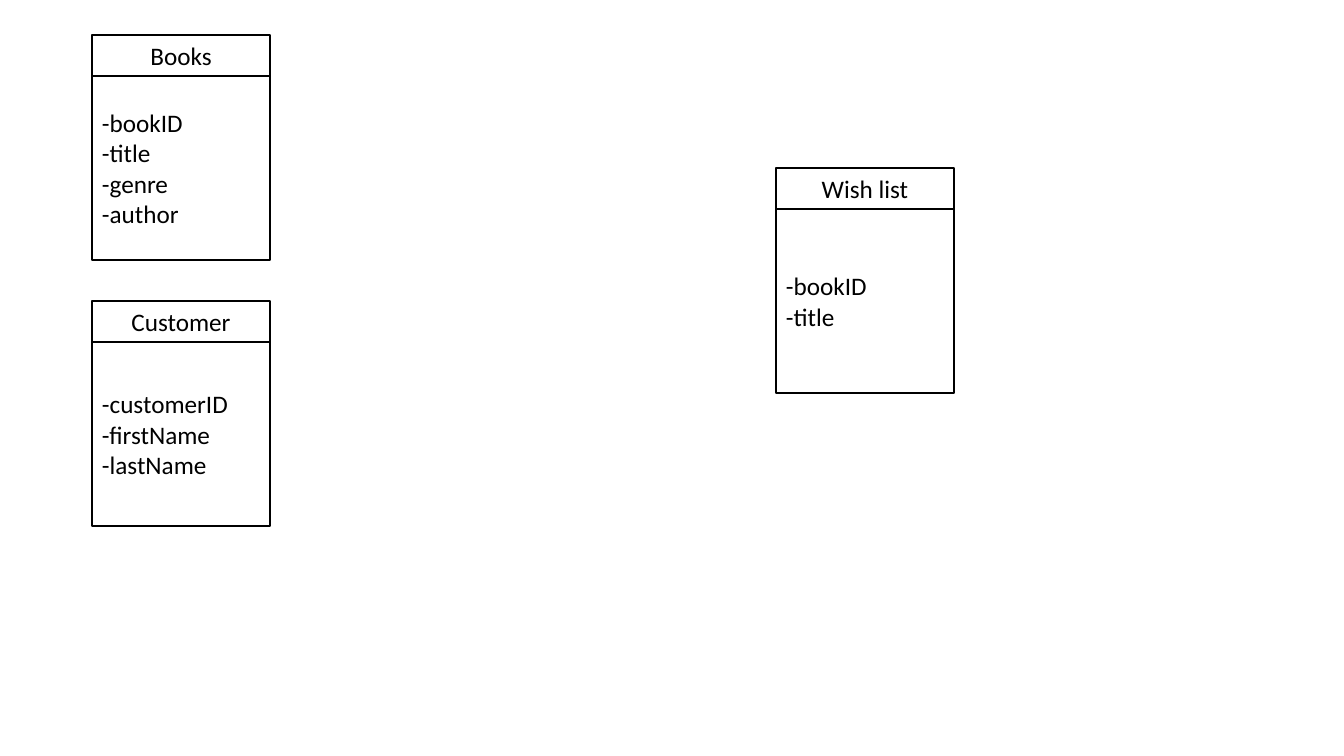
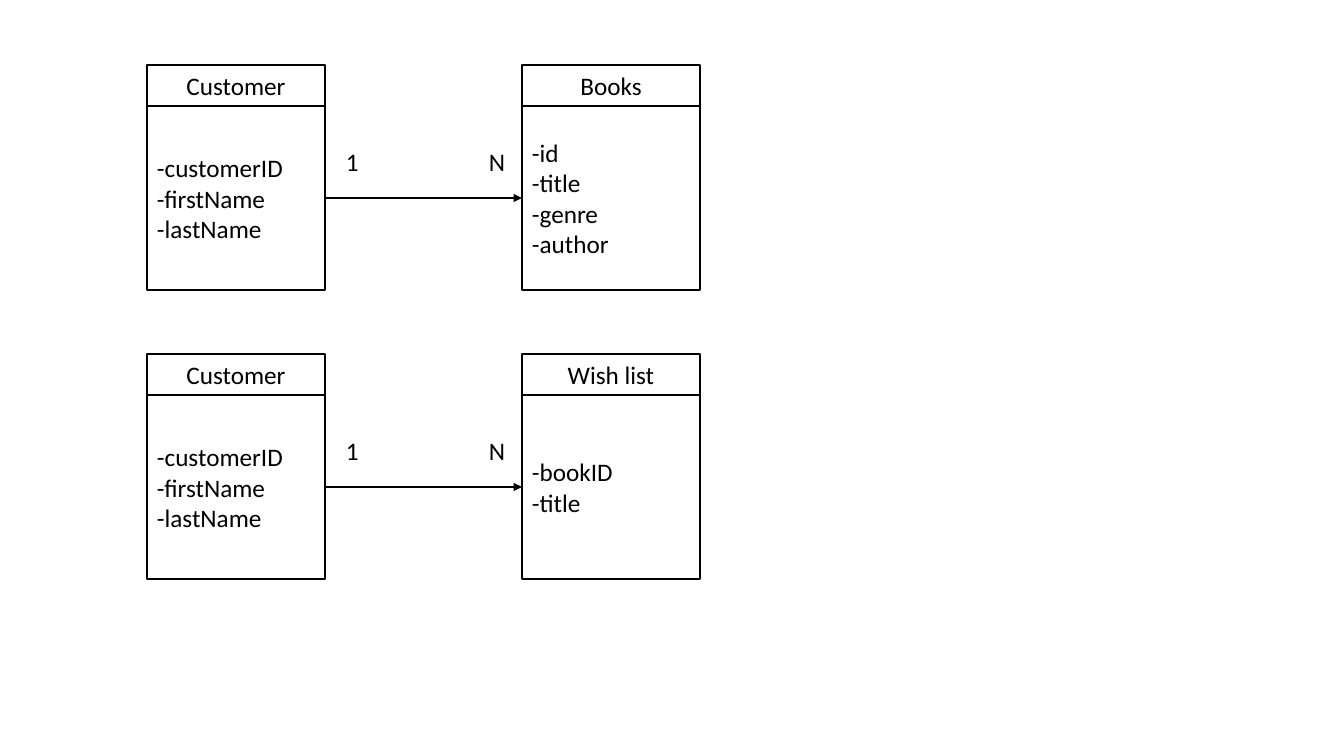
import pptx
import pptx.util
import pptx.dml.color
import pptx.enum.shapes
import pptx.enum.text
import pptx.oxml.ns
import lxml.etree

SCALE = 914400 / 100.8
COLORS = {"ink": "000000"}
FONT = "Calibri"
FONT_SIZE = 18
LINE_WIDTH = 2
ENTITY_WIDTH = 178
NAME_HEIGHT = 41
FIELDS_HEIGHT = 184
ALIGN = pptx.enum.text.PP_ALIGN

BOOK_DETAILS = ["-title", "-genre", "-author"]
CUSTOMER = ("Customer", ["-customerID", "-firstName", "-lastName"])
WISH_LIST = ("Wish list", ["-bookID", "-title"])


def px(length):
    return pptx.util.Emu(round(length * SCALE))


def ink():
    return pptx.dml.color.RGBColor.from_string(COLORS["ink"])


def style_line(line):
    line.color.rgb = ink()
    line.width = pptx.util.Pt(LINE_WIDTH)


def write_lines(frame, lines, align):
    for index, line in enumerate(lines):
        paragraph = frame.add_paragraph() if index else frame.paragraphs[0]
        paragraph.alignment = align
        run = paragraph.add_run()
        run.text = line
        run.font.name = FONT
        run.font.size = pptx.util.Pt(FONT_SIZE)
        run.font.color.rgb = ink()


def add_compartment(group, left, top, height, lines, align):
    compartment = group.shapes.add_shape(
        pptx.enum.shapes.MSO_SHAPE.RECTANGLE,
        px(left), px(top), px(ENTITY_WIDTH), px(height))
    compartment.shadow.inherit = False
    compartment.fill.background()
    style_line(compartment.line)
    compartment.text_frame.vertical_anchor = pptx.enum.text.MSO_ANCHOR.MIDDLE
    write_lines(compartment.text_frame, lines, align)


def add_entity(slide, left, top, entity):
    name, fields = entity
    group = slide.shapes.add_group_shape()
    add_compartment(group, left, top, NAME_HEIGHT, [name], ALIGN.CENTER)
    add_compartment(group, left, top + NAME_HEIGHT, FIELDS_HEIGHT, fields, ALIGN.LEFT)


def add_arrow(slide, start, end, y):
    arrow = slide.shapes.add_connector(
        pptx.enum.shapes.MSO_CONNECTOR.STRAIGHT, px(start), px(y), px(end), px(y))
    style_line(arrow.line)
    qn = pptx.oxml.ns.qn
    properties = arrow.element.spPr
    lxml.etree.SubElement(properties.find(qn("a:ln")), qn("a:tailEnd"), type="triangle")
    lxml.etree.SubElement(properties, qn("a:effectLst"))


def add_cardinality(slide, left, top, width, symbol):
    label = slide.shapes.add_textbox(px(left), px(top), px(width), px(40))
    label.text_frame.word_wrap = False
    label.text_frame.auto_size = pptx.enum.text.MSO_AUTO_SIZE.SHAPE_TO_FIT_TEXT
    write_lines(label.text_frame, [symbol], ALIGN.LEFT)


def add_relation(slide, top, source, target):
    source_left, target_left = 147, 522
    source_right = source_left + ENTITY_WIDTH
    add_entity(slide, source_left, top, source)
    add_entity(slide, target_left, top, target)
    add_arrow(slide, source_right, target_left, top + NAME_HEIGHT + FIELDS_HEIGHT / 2)
    add_cardinality(slide, source_right + 11, top + 76, 33, "1")
    add_cardinality(slide, target_left - 43, top + 76, 36, "N")


def build_entities(slide):
    add_entity(slide, 92, 301, CUSTOMER)
    add_entity(slide, 92, 35, ("Books", ["-bookID"] + BOOK_DETAILS))
    add_entity(slide, 776, 168, WISH_LIST)


def build_relations(slide):
    add_relation(slide, 65, CUSTOMER, ("Books", ["-id"] + BOOK_DETAILS))
    add_relation(slide, 354, CUSTOMER, WISH_LIST)


def main():
    deck = pptx.Presentation()
    deck.slide_width, deck.slide_height = px(1344), px(756)
    for build in (build_entities, build_relations):
        build(deck.slides.add_slide(deck.slide_layouts[6]))
    deck.save("out.pptx")


main()
